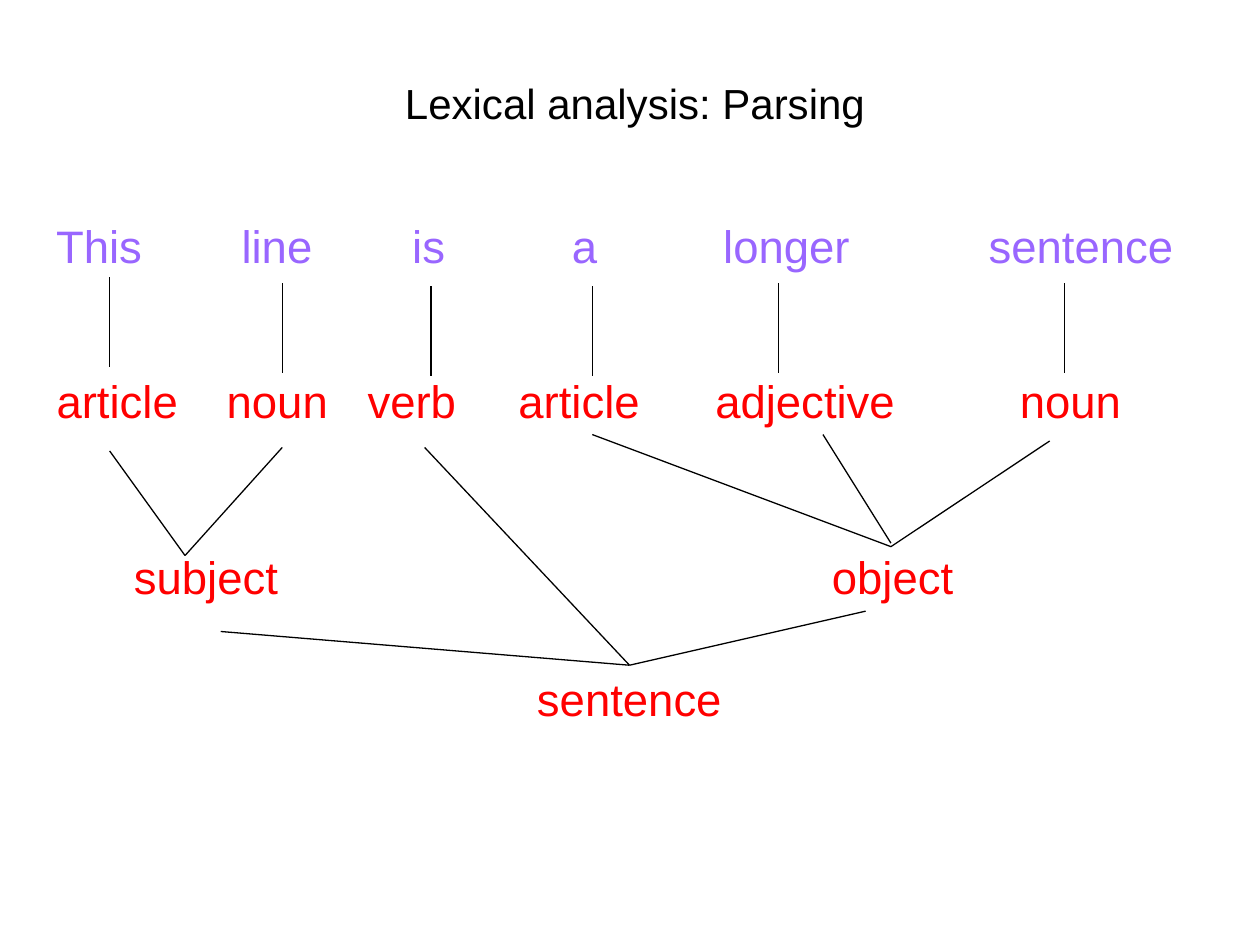
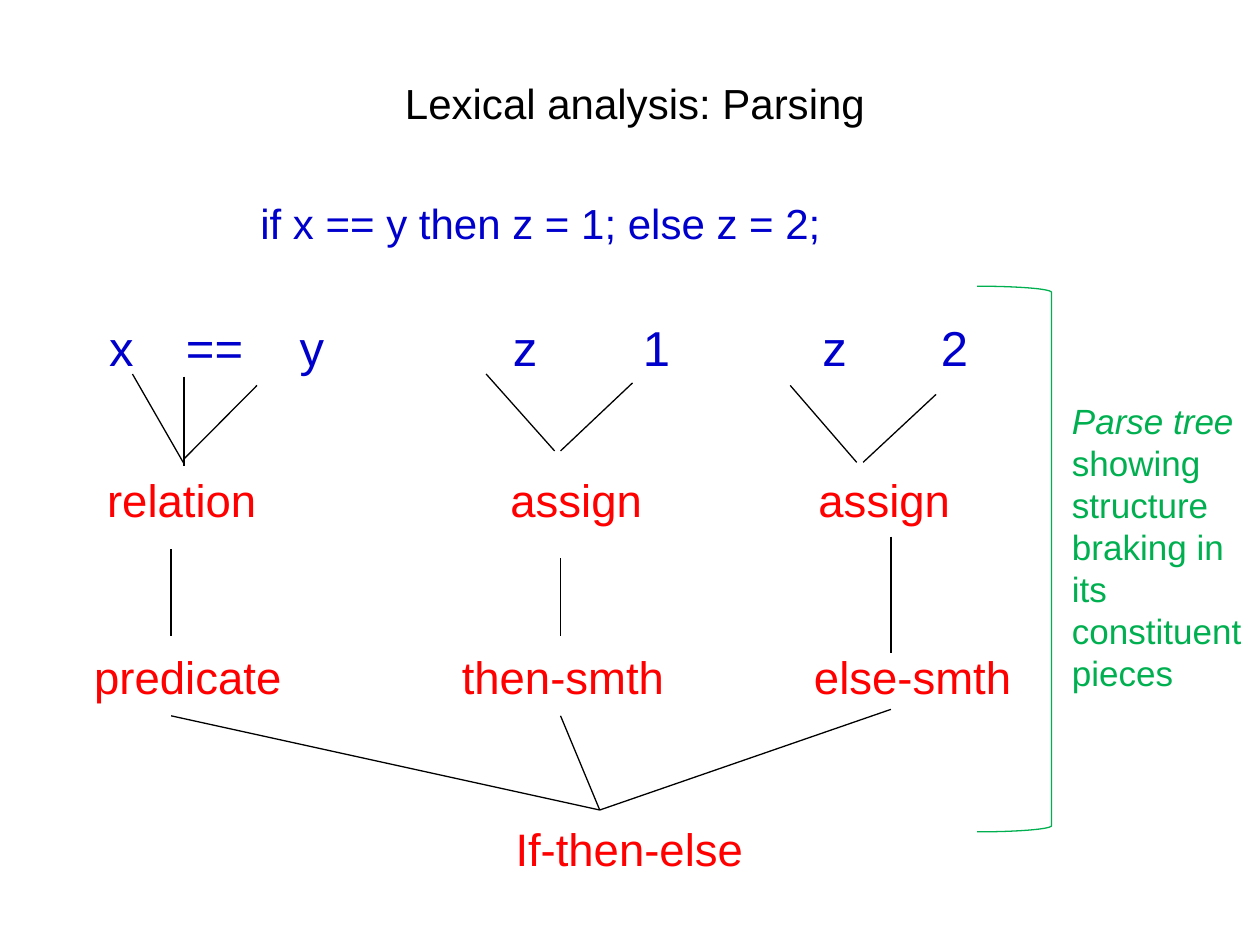
from lxml.etree import SubElement
from pptx import Presentation
from pptx.dml.color import RGBColor
from pptx.enum.shapes import MSO_CONNECTOR, MSO_SHAPE
from pptx.enum.text import MSO_ANCHOR, PP_ALIGN
from pptx.oxml.ns import qn
from pptx.util import Cm, Pt

BLACK = RGBColor(0, 0, 0)
VIOLET = RGBColor(0x99, 0x66, 0xFF)
RED = RGBColor(0xFF, 0, 0)
BLUE = RGBColor(0, 0, 0xCC)
GREEN = RGBColor(0, 0xB0, 0x50)

FONT = "Arial"
TITLE = "Lexical analysis: Parsing"
INSET = 0.25        # side margin inside a text box, cm
ROW_END = 24.4      # right edge of every row of words, cm
ROOT_LEFT, ROOT_WIDTH = 0.94, 23.5

# Content: rows are (top, size, colour, [(word, left), ...]); lengths in cm
ENGLISH = {
    "rows": [
        (4.27, 26, VIOLET, [("This", 1.13), ("line", 4.87), ("is", 8.31),
                            ("a", 11.53), ("longer", 14.58), ("sentence", 19.93)]),
        (7.39, 26, RED, [("article", 1.14), ("noun", 4.57), ("verb", 7.41),
                         ("article", 10.45), ("adjective", 14.42), ("noun", 20.56)]),
        (10.95, 26, RED, [("subject", 2.7), ("object", 16.77)]),
    ],
    "root": ("sentence", 13.41),
    # Stems: (x, top, bottom)
    "stems": [(x, top, top + 1.81) for x, top in [
        (2.21, 5.59), (5.69, 5.71), (8.69, 5.77),
        (11.94, 5.77), (15.7, 5.71), (21.46, 5.71)]],
    # Branches: (start, end)
    "branches": [
        ((2.21, 9.09), (3.73, 11.2)), ((5.69, 9.02), (3.73, 11.2)),
        ((11.94, 8.76), (17.96, 11.02)), ((21.16, 8.89), (17.96, 11.02)),
        ((16.59, 8.76), (17.96, 10.95)),
    ],
    "root_branches": [(4.45, 12.73), (17.45, 12.32), (8.56, 9.02)],
    "root_joint": None,     # branches meet at the top middle of the root
}
CODE = {
    "rows": [
        (6.27, 28, BLUE, [("x", 2.2), ("==", 3.75), ("y", 6.04), ("z", 10.34),
                          ("1", 12.96), ("z", 16.58), ("2", 18.97)]),
        (9.4, 26, RED, [("relation", 2.16), ("assign", 10.29), ("assign", 16.5)]),
        (12.95, 26, RED, [("predicate", 1.9), ("then-smth", 9.31),
                          ("else-smth", 16.41)]),
    ],
    "root": ("If-then-else", 16.43),
    "stems": [(3.71, 7.59, 9.4), (3.45, 11.07, 12.83),
              (11.3, 11.25, 12.83), (17.96, 10.82, 13.16)],
    "branches": [
        ((2.67, 7.54), (3.71, 9.35)), ((5.18, 7.77), (3.71, 9.25)),
        ((9.8, 7.54), (11.18, 9.09)), ((12.75, 7.72), (11.3, 9.09)),
        ((15.93, 7.77), (17.27, 9.32)), ((18.87, 7.95), (17.4, 9.32)),
    ],
    "root_branches": [(3.45, 14.43), (17.96, 14.3), (11.3, 14.43)],
    "root_joint": (12.09, 16.33),
}
STATEMENT = "if x == y then z = 1; else z = 2;"
REMARK = [[("Parse tree ", True),
           ("showing structure braking in its constituent", False)],
          [("pieces", False)]]


def write(paragraph, text, size=26, color=RED, italic=False, align=PP_ALIGN.LEFT):
    paragraph.alignment = align
    run = paragraph.add_run()
    run.text = text
    font = run.font
    font.name, font.size, font.italic = FONT, Pt(size), italic
    font.color.rgb = color


def add_frame(slide, left, top, width, height):
    box = slide.shapes.add_textbox(Cm(left), Cm(top), Cm(width), Cm(height))
    box.text_frame.word_wrap = True
    return box


def add_row(slide, top, size, color, words):
    """Set the words of one level on a line, each at its own tab stop."""
    start = words[0][1]
    left = start - INSET
    row = add_frame(slide, left, top, ROW_END - left, 1.37)
    paragraph = row.text_frame.paragraphs[0]
    tabs = SubElement(paragraph._p.get_or_add_pPr(), qn("a:tabLst"))
    for _, stop in words[1:]:
        SubElement(tabs, qn("a:tab"), pos=str(int(Cm(stop - start))), algn="l")
    write(paragraph, "\t".join(word for word, _ in words), size=size, color=color)


def add_branch(slide, start, end):
    branch = slide.shapes.add_connector(
        MSO_CONNECTOR.STRAIGHT, *(Cm(v) for v in (*start, *end)))
    branch.line.color.rgb = BLACK
    branch.line.width = Pt(0.75)
    SubElement(branch._element.spPr, qn("a:effectLst"))
    return branch


def add_tree_slide(prs, tree):
    slide = prs.slides.add_slide(prs.slide_layouts[5])

    # Title
    title = slide.shapes.title
    title.left, title.top, title.width, title.height = Cm(0.2), 0, Cm(25.2), Cm(2.82)
    heading = title.text_frame
    heading.vertical_anchor = MSO_ANCHOR.BOTTOM
    heading.margin_bottom = Cm(0.24)
    write(heading.paragraphs[0], TITLE, size=24, color=BLACK, align=PP_ALIGN.CENTER)

    # Words, level by level, down to the root
    for row in tree["rows"]:
        add_row(slide, *row)
    name, top = tree["root"]
    root = add_frame(slide, ROOT_LEFT, top, ROOT_WIDTH, 1.37)
    write(root.text_frame.paragraphs[0], name, align=PP_ALIGN.CENTER)

    # Lines between levels
    for x, upper, lower in tree["stems"]:
        add_branch(slide, (x, upper), (x, lower))
    for start, end in tree["branches"]:
        add_branch(slide, start, end)
    joint = tree["root_joint"]
    for start in tree["root_branches"]:
        branch = add_branch(slide, start, joint or (ROOT_LEFT + ROOT_WIDTH / 2, top))
        if joint is None:
            branch.end_connect(root, 0)
    return slide


def main():
    prs = Presentation()
    prs.slide_width, prs.slide_height = Cm(25.4), Cm(19.05)
    add_tree_slide(prs, ENGLISH)
    slide = add_tree_slide(prs, CODE)

    # Statement being parsed
    statement = add_frame(slide, 5, 3.86, 12.45, 1.28)
    write(statement.text_frame.paragraphs[0], STATEMENT, size=24, color=BLUE)

    # Bracket and remark on the tree
    bracket = slide.shapes.add_shape(
        MSO_SHAPE.RIGHT_BRACKET, Cm(19.7), Cm(5.77), Cm(1.5), Cm(11))
    bracket.shadow.inherit = False
    bracket.fill.background()
    bracket.line.color.rgb = GREEN
    bracket.line.width = Pt(0.75)
    remark = add_frame(slide, 21.36, 7.92, 4.04, 6.25).text_frame
    remark.margin_right = 0
    for i, parts in enumerate(REMARK):
        paragraph = remark.add_paragraph() if i else remark.paragraphs[0]
        for text, italic in parts:
            write(paragraph, text, size=20, color=GREEN, italic=italic)

    prs.save("out.pptx")


if __name__ == "__main__":
    main()
